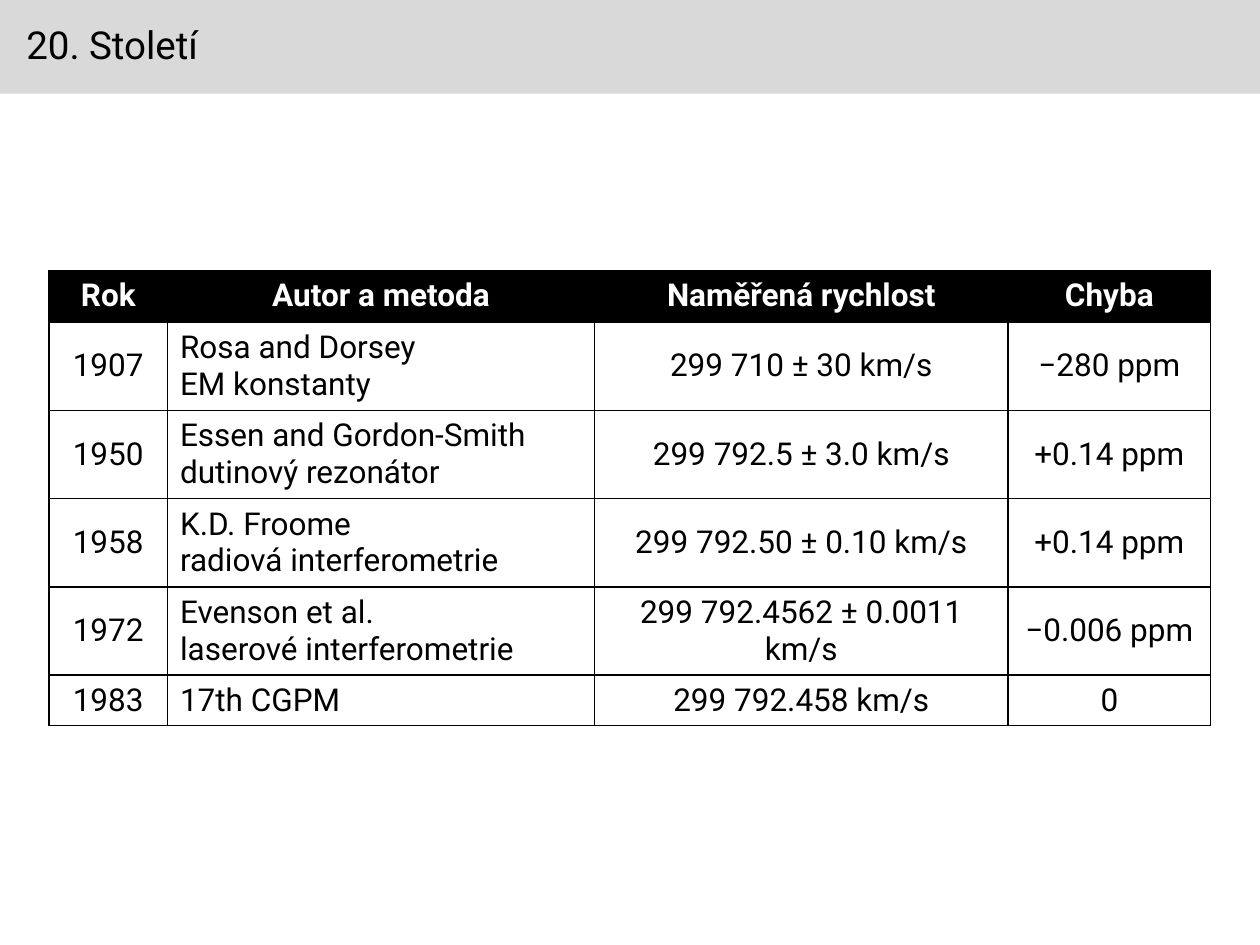
from dataclasses import dataclass

from lxml.etree import SubElement
from pptx import Presentation
from pptx.dml.color import RGBColor as RGB
from pptx.enum.shapes import MSO_SHAPE as SHAPE
from pptx.enum.text import MSO_ANCHOR as ANCHOR, PP_ALIGN as ALIGN
from pptx.oxml.ns import qn
from pptx.util import Pt


@dataclass(frozen=True)
class Theme:
    font: str = "Roboto"
    ink: str = "000000"
    paper: str = "FFFFFF"
    band: str = "D9D9D9"
    title_size: float = 22
    table_size: float = 18
    border: float = 1


THEME = Theme()

COLUMN_WIDTHS = [67.7, 244.1, 236.2, 115.9]
COLUMN_ALIGNS = [ALIGN.CENTER, ALIGN.LEFT, ALIGN.CENTER, ALIGN.CENTER]
ROW_HEIGHT, LAST_ROW_HEIGHT = 29.5, 24.5
HEADER = ["Rok", "Autor a metoda", "Naměřená rychlost", "Chyba"]
MEASUREMENTS = [
    ["1907", "Rosa and Dorsey\nEM konstanty", "299 710 ± 30 km/s", "‒280 ppm"],
    ["1950", "Essen and Gordon-Smith\ndutinový rezonátor",
     "299 792.5 ± 3.0 km/s", "+0.14 ppm"],
    ["1958", "K.D. Froome\nradiová interferometrie",
     "299 792.50 ± 0.10 km/s", "+0.14 ppm"],
    ["1972", "Evenson et al.\nlaserové interferometrie",
     "299 792.4562 ± 0.0011 km/s", "‒0.006 ppm"],
    ["1983", "17th CGPM", "299 792.458 km/s", "0"],
]


def write(tf, text, *, size, color=THEME.ink, bold=False, align=ALIGN.LEFT,
          spacing=None):
    """Fill a text frame, one paragraph for each line of text."""
    tf.word_wrap = True
    for i, line in enumerate(text.split("\n")):
        p = tf.add_paragraph() if i else tf.paragraphs[0]
        p.alignment = align
        if spacing:
            p.line_spacing = spacing
        r = p.add_run()
        r.text = line
        r.font.name = THEME.font
        r.font.size = Pt(size)
        r.font.bold = bold
        r.font.color.rgb = RGB.from_string(color)


def paint(target, color):
    target.fill.solid()
    target.fill.fore_color.rgb = RGB.from_string(color)


def add_title_band(slide, width):
    sp = slide.shapes.add_shape(SHAPE.RECTANGLE, 0, 0, width, Pt(53.5))
    sp.shadow.inherit = False
    paint(sp, THEME.band)
    sp.line.fill.background()


def add_title(slide, text):
    box = slide.shapes.add_textbox(Pt(8), Pt(10.8), Pt(432.7), Pt(31.7))
    box.text_frame.vertical_anchor = ANCHOR.BOTTOM
    write(box.text_frame, text, size=THEME.title_size, spacing=0.9)


def add_borders(cell):
    """Draw all four edges; they must come before the fill in the XML."""
    tc_pr = cell._tc.get_or_add_tcPr()
    for i, edge in enumerate(("a:lnL", "a:lnR", "a:lnT", "a:lnB")):
        ln = SubElement(tc_pr, qn(edge), w=str(Pt(THEME.border)))
        fill = SubElement(ln, qn("a:solidFill"))
        SubElement(fill, qn("a:srgbClr"), val=THEME.ink)
        tc_pr.insert(i, ln)


def fill_cell(cell, text, align, *, header):
    add_borders(cell)
    paint(cell, THEME.ink if header else THEME.paper)
    cell.vertical_anchor = ANCHOR.TOP if header else ANCHOR.MIDDLE
    write(cell.text_frame, text, size=THEME.table_size, bold=header,
          color=THEME.paper if header else THEME.ink,
          align=ALIGN.CENTER if header else align)


def add_measurement_table(slide):
    rows = [HEADER, *MEASUREMENTS]
    frame = slide.shapes.add_table(len(rows), len(HEADER), Pt(28), Pt(154.6),
                                   Pt(sum(COLUMN_WIDTHS)), Pt(260))
    table = frame.table
    table.horz_banding = False
    for column, width in zip(table.columns, COLUMN_WIDTHS):
        column.width = Pt(width)
    for i, texts in enumerate(rows):
        last = i == len(rows) - 1
        table.rows[i].height = Pt(LAST_ROW_HEIGHT if last else ROW_HEIGHT)
        for j, (text, align) in enumerate(zip(texts, COLUMN_ALIGNS)):
            fill_cell(table.cell(i, j), text, align, header=i == 0)
    frame.height = Pt(260)  # two-line rows grow beyond their minimum height


def main():
    prs = Presentation()
    prs.slide_width, prs.slide_height = Pt(720), Pt(540)
    slide = prs.slides.add_slide(prs.slide_layouts[6])
    add_title_band(slide, prs.slide_width)
    add_title(slide, "20. Století")
    add_measurement_table(slide)
    prs.save("out.pptx")


if __name__ == "__main__":
    main()
